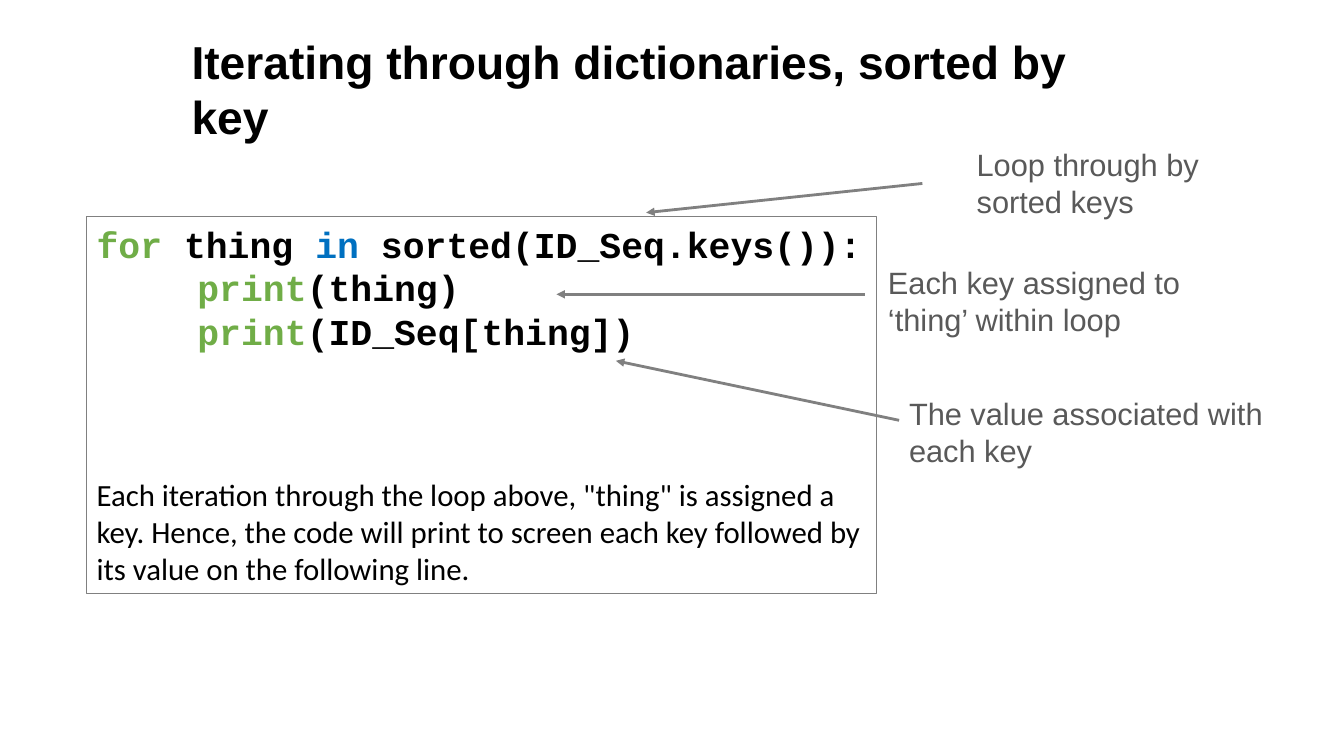
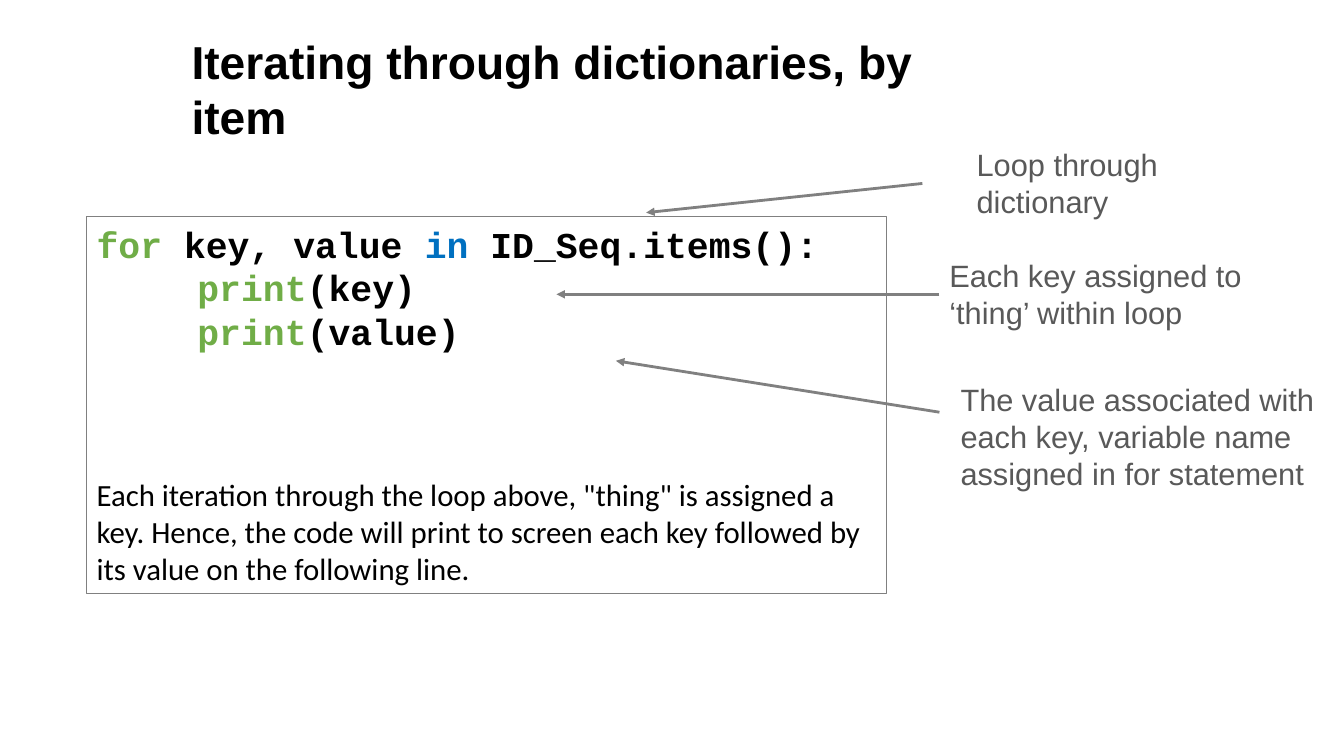
from pptx import Presentation
from pptx import util as u
from pptx.dml.color import RGBColor
from pptx.enum import shapes, text
from pptx.oxml.ns import qn
from lxml import etree

BLACK = RGBColor(0x00, 0x00, 0x00)
GREEN = RGBColor(0x70, 0xAD, 0x47)
BLUE = RGBColor(0x00, 0x70, 0xC0)
LINE_GRAY = RGBColor(0x80, 0x80, 0x80)
TEXT_GRAY = RGBColor(0x59, 0x59, 0x59)
KEYWORD_COLOURS = {"for": GREEN, "print": GREEN, "in": BLUE}

deck = Presentation()
deck.slide_width, deck.slide_height = u.Inches(13.333), u.Inches(7.5)
# The grid has 100 columns and 100 rows.
COLUMN, ROW = deck.slide_width / 100, deck.slide_height / 100

CODE_LEFT, CODE_TOP, CODE_HEIGHT = 6.45, 28.67, 49.87
TITLE_LEFT, TITLE_TOP, TITLE_HEIGHT = 13.5, 3.73, 8.8
ARROW_TIPS = [(48.08, 28.13), (41.4, 38.93), (45.83, 47.73)]
LOOP_START = (68.63, 24.27)
JOINED = None  # the arrow starts at the middle of its callout's left side

EXPLANATION = (
    'Each iteration through the loop above, "thing" is assigned a key. Hence, the code '
    "will print to screen each key followed by its value on the following line."
)
KEY_NOTE = "Each key assigned to ‘thing’ within loop"

# Callouts: wording, (left, top, width, height), start of the arrow
SLIDES = [
    {
        "title": "Iterating through dictionaries, sorted by key",
        "title_width": 69.22,
        "code_width": 58.8,
        "code": [
            ["for", " thing ", "in", " sorted(ID_Seq.keys()):"],
            ["print", "(thing)"],
            ["print", "(ID_Seq[thing])"],
        ],
        "callouts": [
            ("Loop through by sorted keys", (71.93, 18.67, 18.83, 11.2), LOOP_START),
            (KEY_NOTE, (65.33, 34.27, 25.28, 11.2), (64.35, 38.93)),
            ("The value associated with each key", (66.9, 51.6, 30.53, 11.2), (66.9, 55.6)),
        ],
    },
    {
        "title": "Iterating through dictionaries, by item",
        "title_width": 59.55,
        "code_width": 59.55,
        "code": [
            ["for", " key, value ", "in", " ID_Seq.items():"],
            ["print", "(key)"],
            ["print", "(value)"],
        ],
        "callouts": [
            ("Loop through dictionary", (71.93, 18.67, 18.83, 11.2), LOOP_START),
            (KEY_NOTE, (69.9, 33.33, 25.28, 11.2), JOINED),
            (
                "The value associated with each key, variable name assigned in for statement",
                (70.73, 49.73, 30.53, 16.13),
                (69.9, 54.53),
            ),
        ],
    },
]


def on_grid(left, top, width=0, height=0):
    """Turn columns and rows into slide lengths."""
    return [round(n * unit) for n, unit in zip((left, top, width, height), (COLUMN, ROW) * 2)]


def style(span, name, size, colour, bold=False):
    span.font.name, span.font.size, span.font.bold = name, u.Pt(size), bold
    span.font.color.rgb = colour


for content in SLIDES:
    page = deck.slides.add_slide(deck.slide_layouts[5])

    title = page.shapes.title
    title.left, title.top, title.width, title.height = on_grid(
        TITLE_LEFT, TITLE_TOP, content["title_width"], TITLE_HEIGHT
    )
    title.text_frame.text = content["title"]
    title.text_frame.word_wrap = True
    title.text_frame.auto_size = text.MSO_AUTO_SIZE.NONE
    title.text_frame.vertical_anchor = text.MSO_ANCHOR.TOP
    para = title.text_frame.paragraphs[0]
    para.alignment = text.PP_ALIGN.LEFT
    style(para.runs[0], "Arial", 33, BLACK, bold=True)

    code_box = page.shapes.add_shape(
        shapes.MSO_SHAPE.RECTANGLE,
        *on_grid(CODE_LEFT, CODE_TOP, content["code_width"], CODE_HEIGHT),
    )
    code_box.shadow.inherit = False
    code_box.fill.background()
    code_box.line.color.rgb, code_box.line.width = LINE_GRAY, u.Pt(0.75)
    frame = code_box.text_frame
    frame.word_wrap = True
    frame.vertical_anchor = text.MSO_ANCHOR.TOP
    for number, pieces in enumerate(content["code"]):
        para = frame.add_paragraph() if number else frame.paragraphs[0]
        para.alignment = text.PP_ALIGN.LEFT
        if number:
            para._p.get_or_add_pPr().set("marL", str(u.Inches(1)))
        for piece in pieces:
            span = para.add_run()
            span.text = piece
            style(span, "Courier New", 26, KEYWORD_COLOURS.get(piece, BLACK), bold=True)
    para = frame.add_paragraph()
    para.text = EXPLANATION
    para.alignment = text.PP_ALIGN.LEFT
    para.space_before = u.Pt(88)
    style(para.runs[0], "Calibri", 22, BLACK)

    for (wording, place, start), tip in zip(content["callouts"], ARROW_TIPS):
        callout = page.shapes.add_textbox(*on_grid(*place))
        callout.text_frame.word_wrap = True
        callout.text_frame.text = wording
        style(callout.text_frame.paragraphs[0].runs[0], "Arial", 22, TEXT_GRAY)

        begin = on_grid(*(start or place[:2]))[:2]
        arrow = page.shapes.add_connector(
            shapes.MSO_CONNECTOR.STRAIGHT, *begin, *on_grid(*tip)[:2]
        )
        if start is JOINED:
            arrow.begin_connect(callout, 1)
        arrow.line.color.rgb, arrow.line.width = LINE_GRAY, u.Pt(2)
        etree.SubElement(arrow.line._get_or_add_ln(), qn("a:tailEnd"), type="triangle")
        etree.SubElement(arrow._element.spPr, qn("a:effectLst"))

deck.save("out.pptx")
